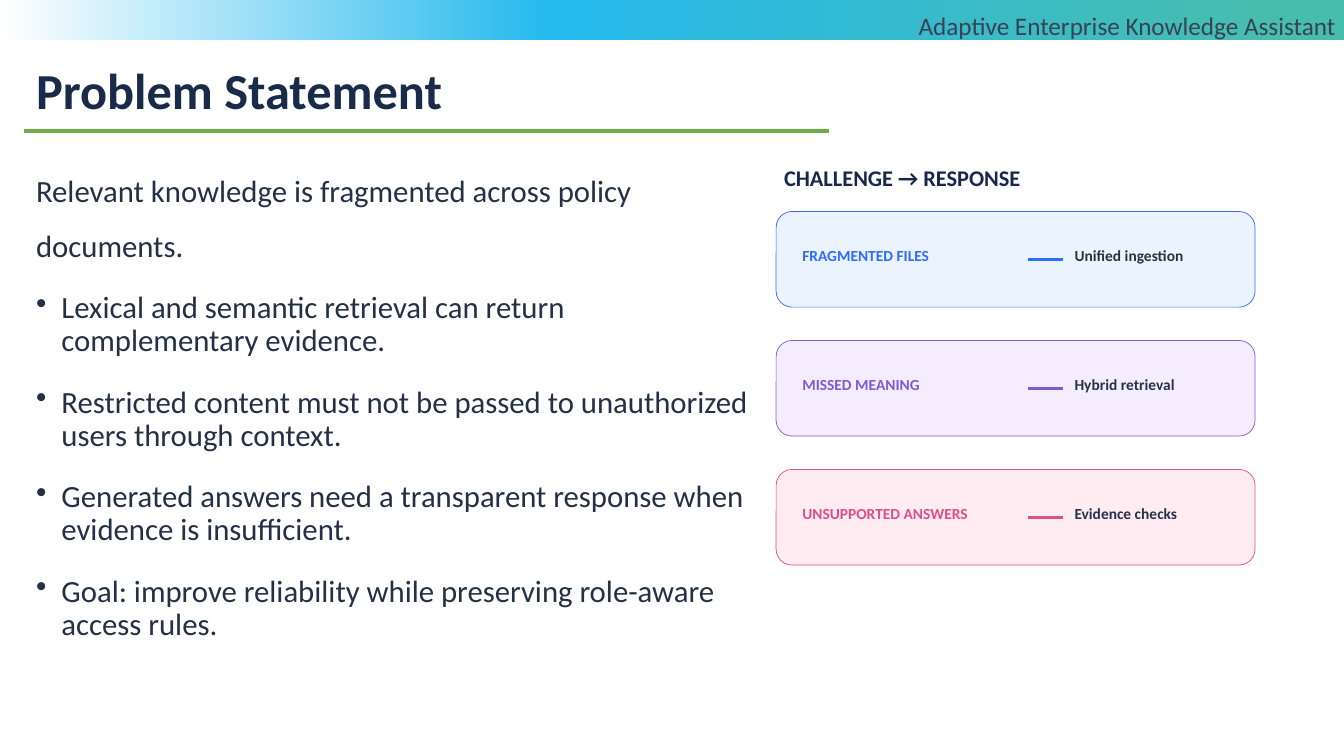
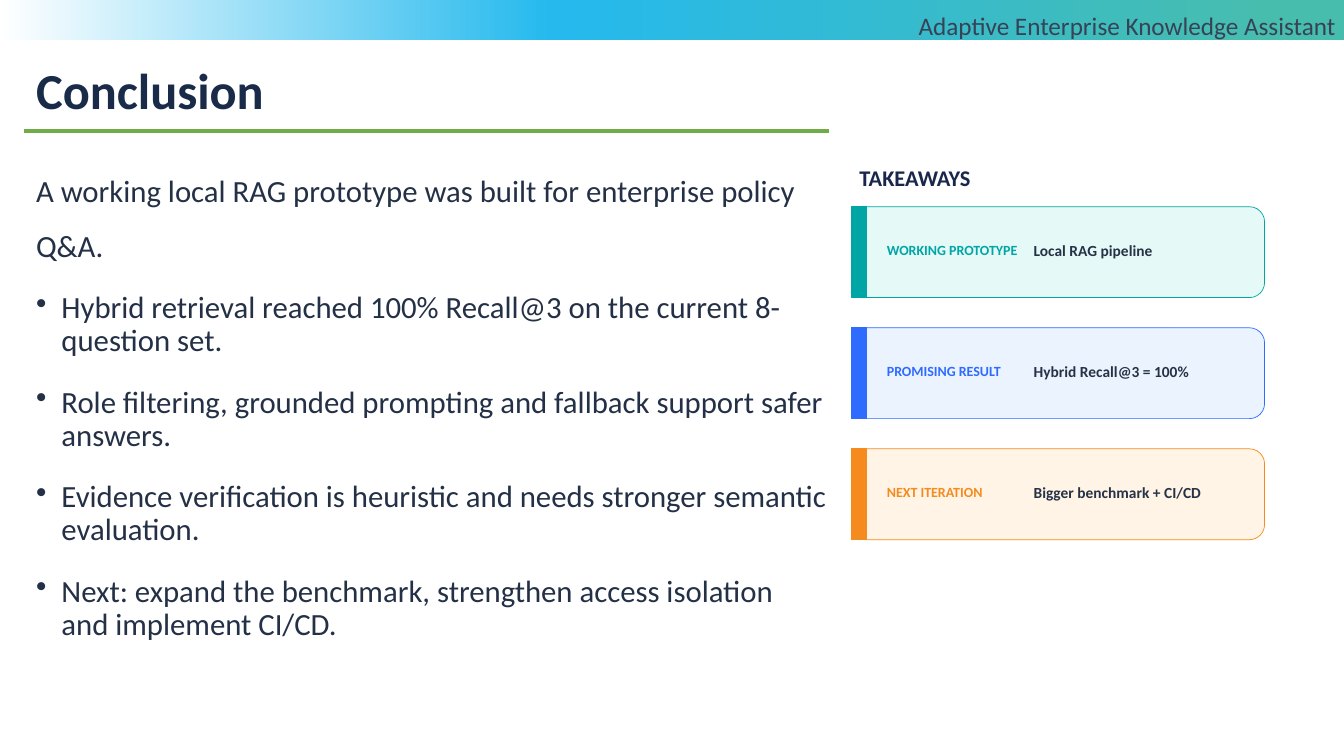
import copy

import lxml.etree
import pptx
import pptx.dml.color
import pptx.enum.shapes
import pptx.enum.text
import pptx.oxml.ns
import pptx.util

Cm = pptx.util.Cm
Pt = pptx.util.Pt
RGB = pptx.dml.color.RGBColor
qn = pptx.oxml.ns.qn
SHAPE = pptx.enum.shapes.MSO_SHAPE
ANCHOR = pptx.enum.text.MSO_ANCHOR
ALIGN = pptx.enum.text.PP_ALIGN

FONT = "Calibri"
WIDTH, HEIGHT = 33.87, 19.05
WHITE = RGB(0xFF, 0xFF, 0xFF)
SKY = RGB(0x25, 0xB9, 0xED)
MINT = RGB(0x47, 0xBD, 0xAE)
GREEN = RGB(0x70, 0xAD, 0x47)
NAVY = RGB(0x19, 0x2B, 0x48)
HEAD = RGB(0x18, 0x27, 0x4B)
GREY = RGB(0x37, 0x42, 0x55)
INK = RGB(0x23, 0x30, 0x46)
DARK = RGB(0x26, 0x32, 0x46)
BLUE, ICE = RGB(0x2F, 0x6B, 0xFF), RGB(0xEB, 0xF3, 0xFF)
PLUM, LILAC = RGB(0x80, 0x5A, 0xD5), RGB(0xF3, 0xED, 0xFF)
ROSE, BLUSH = RGB(0xE0, 0x4F, 0x85), RGB(0xFF, 0xEB, 0xF2)
TEAL, FOAM = RGB(0x00, 0xA6, 0xA6), RGB(0xE5, 0xF9, 0xF7)
AMBER, CREAM = RGB(0xF5, 0x8B, 0x1F), RGB(0xFF, 0xF4, 0xE5)


def set_frame(frame, anchor, pad):
    frame.word_wrap = True
    frame.auto_size = pptx.enum.text.MSO_AUTO_SIZE.NONE
    frame.vertical_anchor = anchor
    frame.margin_left = frame.margin_right = Cm(0.2)
    frame.margin_top = frame.margin_bottom = Cm(pad)


def set_font(para, size, color, bold=False):
    for run in para.runs:
        run.font.name = FONT
        run.font.size = Pt(size)
        run.font.bold = bold
        run.font.color.rgb = color


def add_text(slide, box, text, size, color, bold=True, align=ALIGN.LEFT,
             anchor=ANCHOR.MIDDLE, pad=0.05):
    frame = slide.shapes.add_textbox(*map(Cm, box)).text_frame
    set_frame(frame, anchor, pad)
    para = frame.paragraphs[0]
    para.text = text
    para.alignment = align
    set_font(para, size, color, bold)


def add_block(slide, kind, box, fill, line):
    block = slide.shapes.add_shape(kind, *map(Cm, box))
    block.shadow.inherit = False
    block.fill.solid()
    block.fill.fore_color.rgb = fill
    block.line.color.rgb = line
    block.line.width = Pt(0.5)


def add_rule(slide, left, right, top, color, width):
    rule = slide.shapes.add_connector(
        pptx.enum.shapes.MSO_CONNECTOR.STRAIGHT,
        Cm(left), Cm(top), Cm(right), Cm(top))
    rule.line.color.rgb = color
    rule.line.width = Pt(width)
    lxml.etree.SubElement(rule.element.spPr, qn("a:effectLst"))


def add_band(slide):
    band = slide.shapes.add_shape(SHAPE.RECTANGLE, 0, 0, Cm(WIDTH), Cm(1.02))
    band.shadow.inherit = False
    band.line.fill.background()
    band.fill.gradient()
    band.fill.gradient_angle = 0
    stops = band.element.spPr.find(".//" + qn("a:gsLst"))
    stops.append(copy.deepcopy(stops[0]))
    tones = ((0, WHITE), (0.41, SKY), (0.95, MINT))
    for stop, (place, color) in zip(band.fill.gradient_stops, tones):
        stop.position = place
        stop.color.rgb = color


def add_title(slide, text):
    title = slide.shapes.title
    title.left, title.top = Cm(0.71), Cm(1.4)
    title.width, title.height = Cm(29.51), Cm(1.8)
    set_frame(title.text_frame, ANCHOR.TOP, 0.1)
    para = title.text_frame.paragraphs[0]
    para.text = text
    para.alignment = ALIGN.LEFT
    set_font(para, 36, NAVY, True)


def start_slide(deck, title):
    slide = deck.slides.add_slide(deck.slide_layouts[5])
    add_band(slide)
    add_title(slide, title)
    add_rule(slide, 0.61, 20.9, 3.3, GREEN, 2.25)
    add_text(slide, (16.92, 0.15, 16.94, 1.8),
             "Adaptive Enterprise Knowledge Assistant", 18, GREY, False,
             ALIGN.RIGHT, ANCHOR.TOP, 0.1)
    return slide


def add_body(slide, box, lines):
    frame = slide.shapes.add_textbox(*map(Cm, box)).text_frame
    set_frame(frame, ANCHOR.TOP, 0.1)
    for index, line in enumerate(lines):
        para = frame.add_paragraph() if index else frame.paragraphs[0]
        para.text = line
        if index:
            props = para._p.get_or_add_pPr()
            props.set("marL", str(Cm(0.64)))
            props.set("indent", str(-Cm(0.64)))
            lxml.etree.SubElement(props, qn("a:buChar")).set("char", "•")
            para.space_before = Pt(10)
        para.line_spacing = 0.9 if index else 1.5
        para.space_after = Pt(10)
        set_font(para, 22, INK)


def add_pair(slide, box, label, note, color, fill):
    left, top, width, height = box
    add_block(slide, SHAPE.ROUNDED_RECTANGLE, box, fill, color)
    add_text(slide, (left + 0.46, top + 0.2, 5.72, 1.83), label, 11, color)
    add_rule(slide, left + 6.35, left + 7.24, top + height / 2, color, 1.8)
    add_text(slide, (left + 7.32, top + 0.2, 4.19, 1.83), note, 11, DARK)


def add_point(slide, box, label, note, color, fill):
    left, top, width, height = box
    add_block(slide, SHAPE.ROUNDED_RECTANGLE, box, fill, color)
    add_block(slide, SHAPE.RECTANGLE, (left, top, 0.38, height), color, color)
    add_text(slide, (left + 0.69, top + 0.18, 3.94, 1.83), label, 10, color)
    add_text(slide, (left + 4.39, top + 0.18, 5.46, 1.83), note, 11, DARK)


def add_panel(slide, box, head, draw, tall, step, cards):
    left, top, width = box
    add_text(slide, (left, 3.94, width, 1.07), head, 16, HEAD)
    for index, card in enumerate(cards):
        draw(slide, (left, top + index * step, width, tall), *card)


def add_problem(deck):
    slide = start_slide(deck, "Problem Statement")
    add_body(slide, (0.71, 3.76, 18.42, 12.45), (
        "Relevant knowledge is fragmented across policy documents.",
        "Lexical and semantic retrieval can return complementary evidence.",
        "Restricted content must not be passed to unauthorized users through context.",
        "Generated answers need a transparent response when evidence is insufficient.",
        "Goal: improve reliability while preserving role-aware access rules."))
    add_panel(slide, (19.56, 5.33, 12.07), "CHALLENGE → RESPONSE",
              add_pair, 2.41, 3.25, (
                  ("FRAGMENTED FILES", "Unified ingestion", BLUE, ICE),
                  ("MISSED MEANING", "Hybrid retrieval", PLUM, LILAC),
                  ("UNSUPPORTED ANSWERS", "Evidence checks", ROSE, BLUSH)))


def add_close(deck):
    slide = start_slide(deck, "Conclusion")
    add_body(slide, (0.71, 3.76, 20.32, 12.45), (
        "A working local RAG prototype was built for enterprise policy Q&A.",
        "Hybrid retrieval reached 100% Recall@3 on the current 8-question set.",
        "Role filtering, grounded prompting and fallback support safer answers.",
        "Evidence verification is heuristic and needs stronger semantic evaluation.",
        "Next: expand the benchmark, strengthen access isolation and implement CI/CD."))
    add_panel(slide, (21.46, 5.21, 10.41), "TAKEAWAYS",
              add_point, 2.29, 3.05, (
                  ("WORKING PROTOTYPE", "Local RAG pipeline", TEAL, FOAM),
                  ("PROMISING RESULT", "Hybrid Recall@3 = 100%", BLUE, ICE),
                  ("NEXT ITERATION", "Bigger benchmark + CI/CD", AMBER, CREAM)))


def main():
    deck = pptx.Presentation()
    deck.slide_width, deck.slide_height = Cm(WIDTH), Cm(HEIGHT)
    add_problem(deck)
    add_close(deck)
    deck.save("out.pptx")


if __name__ == "__main__":
    main()
